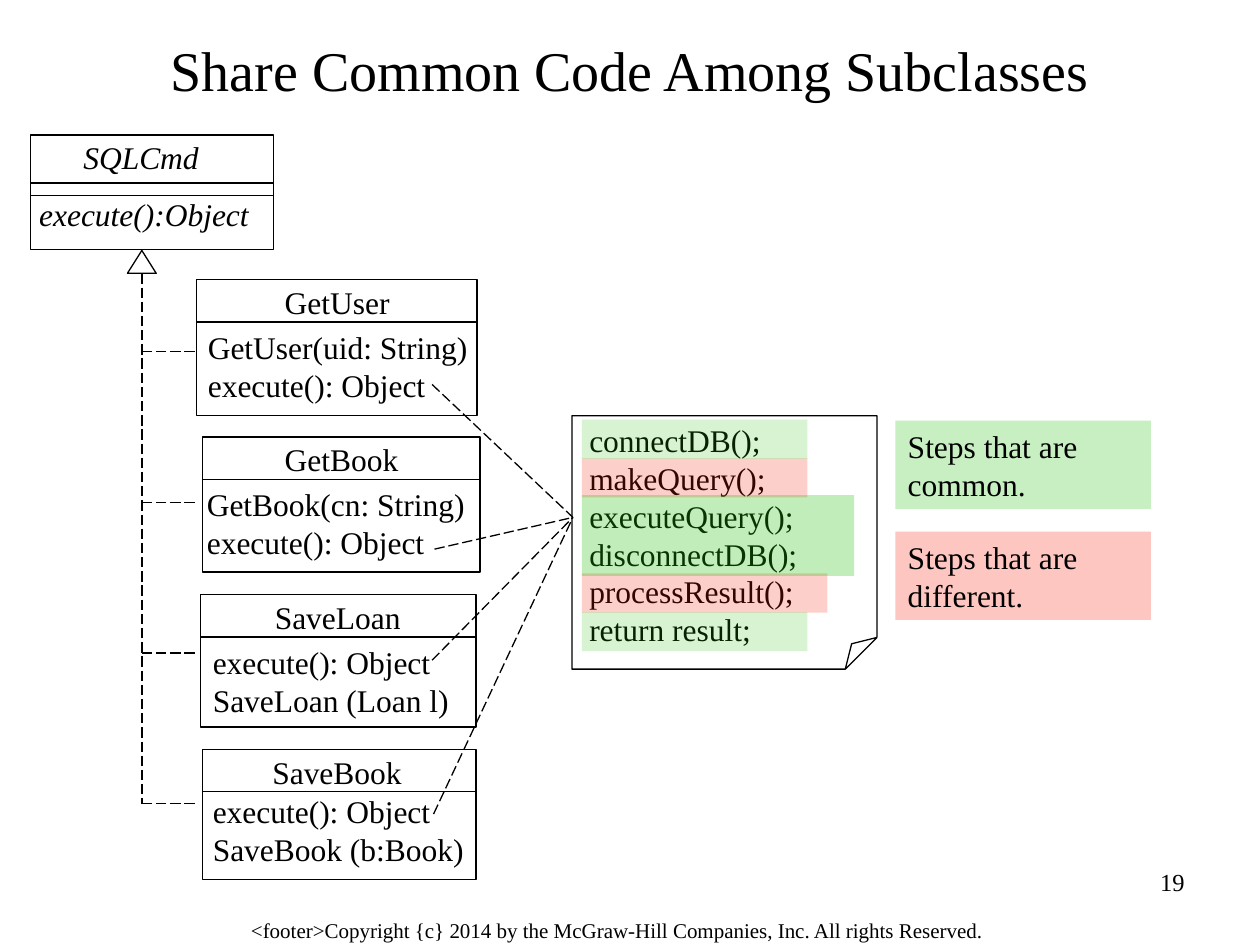
from dataclasses import dataclass

from lxml.etree import SubElement
from pptx import Presentation
from pptx.dml.color import RGBColor
from pptx.enum.dml import MSO_LINE
from pptx.enum.shapes import MSO_CONNECTOR, MSO_SHAPE as Preset
from pptx.enum.text import MSO_ANCHOR as Anchor, PP_ALIGN as Align
from pptx.oxml.ns import qn
from pptx.util import Cm, Pt


@dataclass(frozen=True)
class Theme:
    font: str = "Times New Roman"
    ink: RGBColor = RGBColor(0, 0, 0)
    common: RGBColor = RGBColor(0x22, 0xC0, 0x08)
    different: RGBColor = RGBColor(0xF9, 0x1E, 0x07)
    title: float = 32
    body: float = 18
    body_pitch: float = 21.6
    number: float = 14
    footer: float = 12
    stroke: float = 0.75


THEME = Theme()
INSET = (0.25, 0.13)


# Basic parts; all numbers are centimetres
def write(frame, lines, size=THEME.body, italic=False, align=Align.LEFT):
    frame.word_wrap = True
    for index, line in enumerate(lines):
        para = frame.paragraphs[0] if index == 0 else frame.add_paragraph()
        para.alignment = align
        if size == THEME.body:
            para.line_spacing = Pt(THEME.body_pitch)
        span = para.add_run()
        span.text = line
        span.font.name = THEME.font
        span.font.size = Pt(size)
        span.font.italic = italic
        span.font.color.rgb = THEME.ink


def set_inset(frame, inset):
    frame.margin_left = frame.margin_right = Cm(inset[0])
    frame.margin_top = frame.margin_bottom = Cm(inset[1])


def add_text(page, box, lines, inset=(0, 0), **style):
    frame = page.shapes.add_textbox(*map(Cm, box)).text_frame
    set_inset(frame, inset)
    write(frame, lines, **style)


def add_outline(page, preset, box):
    shape = page.shapes.add_shape(preset, *map(Cm, box))
    shape.shadow.inherit = False
    shape.fill.background()
    shape.line.color.rgb = THEME.ink
    shape.line.width = Pt(THEME.stroke)
    return shape


def add_tint(page, box, color, opacity):
    shape = page.shapes.add_shape(Preset.RECTANGLE, *map(Cm, box))
    shape.shadow.inherit = False
    shape.line.fill.background()
    shape.fill.solid()
    shape.fill.fore_color.rgb = color
    tint = shape._element.spPr.find(".//" + qn("a:srgbClr"))
    SubElement(tint, qn("a:alpha"), val=str(opacity * 1000))
    return shape


def add_line(page, start, end, dashed=False):
    line = page.shapes.add_connector(
        MSO_CONNECTOR.STRAIGHT, *map(Cm, (*start, *end)))
    line.line.color.rgb = THEME.ink
    line.line.width = Pt(THEME.stroke)
    if dashed:
        line.line.dash_style = MSO_LINE.LONG_DASH
    SubElement(line._element.spPr, qn("a:effectLst"))


# Regions of the slide
def place_title(page, box, text):
    title = page.shapes.title
    title.left, title.top, title.width, title.height = map(Cm, box)
    title.text_frame.vertical_anchor = Anchor.MIDDLE
    set_inset(title.text_frame, INSET)
    write(title.text_frame, [text], size=THEME.title, align=Align.CENTER)


def place_class(page, box, name, members, name_dx, member_at, rules, italic=False):
    left, top, width, height = box
    member_dx, member_dy = member_at
    add_outline(page, Preset.RECTANGLE, box)
    add_text(page, (left + name_dx, top + 0.07, width - name_dx, 0.76),
             [name], italic=italic)
    for rule in rules:
        add_line(page, (left, top + rule), (left + width, top + rule))
    add_text(page, (left + member_dx, top + member_dy, width - member_dx,
                    0.76 * len(members)), members, italic=italic)


def place_tree(page, box, branches):
    left, top, width, height = box
    head_width, head_height = 0.58, 0.46
    trunk = left + head_width / 2
    bottom = top + height
    first = top + 2.04
    step = (bottom - first) / (branches - 1)
    add_outline(page, Preset.ISOSCELES_TRIANGLE,
                (left, top, head_width, head_height))
    add_line(page, (trunk, top + head_height), (trunk, bottom), dashed=True)
    for index in range(branches):
        level = first + index * step
        add_line(page, (trunk, level), (left + width, level), dashed=True)


def place_note(page, box, steps, link_starts):
    left, top, width, height = box
    note = add_outline(page, Preset.FOLDED_CORNER, box)
    # Size of the folded corner, an eighth of the short side
    guides = note._element.spPr.find(".//" + qn("a:avLst"))
    SubElement(guides, qn("a:gd"), name="adj", fmla="val 12500")
    add_text(page, (left + 0.1, top - 0.02, width - 0.4, height - 0.3),
             steps, inset=INSET)
    # Links from each execute() to the shared steps
    for start in link_starts:
        add_line(page, start, (left + 0.02, top + 2.05), dashed=True)
    # Tints: offset, width, height, colour, opacity
    tints = [
        (3.18, 4.95, 0.79, THEME.different, 21),
        (0.86, 4.55, 0.79, THEME.different, 21),
        (0.08, 4.55, 0.79, THEME.common, 18),
        (1.6, 5.49, 1.63, THEME.common, 28),
        (3.96, 4.55, 0.79, THEME.common, 18),
    ]
    for offset, tint_width, tint_height, color, opacity in tints:
        add_tint(page, (left + 0.2, top + offset, tint_width, tint_height),
                 color, opacity)


def place_legend(page, box, entries):
    left, top, width, height = box
    entry_height = 1.78
    step = (height - entry_height) / (len(entries) - 1)
    for index, (text, color) in enumerate(entries):
        entry = add_tint(page, (left, top + index * step, width, entry_height),
                         color, 25)
        entry.text_frame.vertical_anchor = Anchor.TOP
        set_inset(entry.text_frame, INSET)
        write(entry.text_frame, [text])


def main():
    deck = Presentation()
    deck.slide_width, deck.slide_height = Cm(25.4), Cm(19.05)
    page = deck.slides.add_slide(deck.slide_layouts[5])

    add_text(page, (4.78, 18.34, 15.72, 0.79),
             ["<footer>Copyright {c} 2014 by the McGraw-Hill Companies, Inc. "
              "All rights Reserved."], inset=(0.28, 0.15), size=THEME.footer)
    place_title(page, (1.27, 0.43, 22.86, 1.91),
                "Share Common Code Among Subclasses")

    # Parent class, subclasses and the tree that joins them
    place_class(page, (0.61, 2.72, 4.9, 2.31), "SQLCmd", ["execute():Object"],
                1.07, (0.18, 1.22), (0.97, 1.22), italic=True)
    execute = "execute(): Object"
    subclasses = [
        ((3.96, 5.64, 5.66, 2.74), "GetUser",
         ["GetUser(uid: String)", execute], 1.78, (0.23, 0.97)),
        ((4.09, 8.81, 5.59, 2.72), "GetBook",
         ["GetBook(cn: String)", execute], 1.65, (0.08, 0.97)),
        ((4.04, 11.99, 5.56, 2.67), "SaveLoan",
         [execute, "SaveLoan (Loan l)"], 1.5, (0.25, 0.97)),
        ((4.09, 15.11, 5.51, 2.62), "SaveBook",
         [execute, "SaveBook (b:Book)"], 1.4, (0.2, 0.86)),
    ]
    for subclass in subclasses:
        place_class(page, *subclass, rules=(0.85,))
    place_tree(page, (2.57, 5.05, 1.37, 11.15), len(subclasses))

    # Shared steps and their colour key
    place_note(page, (11.53, 8.38, 6.15, 5.11),
               ["connectDB();", "makeQuery();", "executeQuery();",
                "disconnectDB();", "processResult();", "return result;"],
               [(8.71, 7.75), (8.76, 11.07), (8.71, 13.31), (8.74, 16.41)])
    place_legend(page, (18.05, 8.48, 5.15, 4.02),
                 [("Steps that are common.", THEME.common),
                  ("Steps that are different.", THEME.different)])

    add_text(page, (18.21, 17.35, 5.92, 1.32), ["19"], inset=INSET,
             size=THEME.number, align=Align.RIGHT)
    deck.save("out.pptx")


if __name__ == "__main__":
    main()
